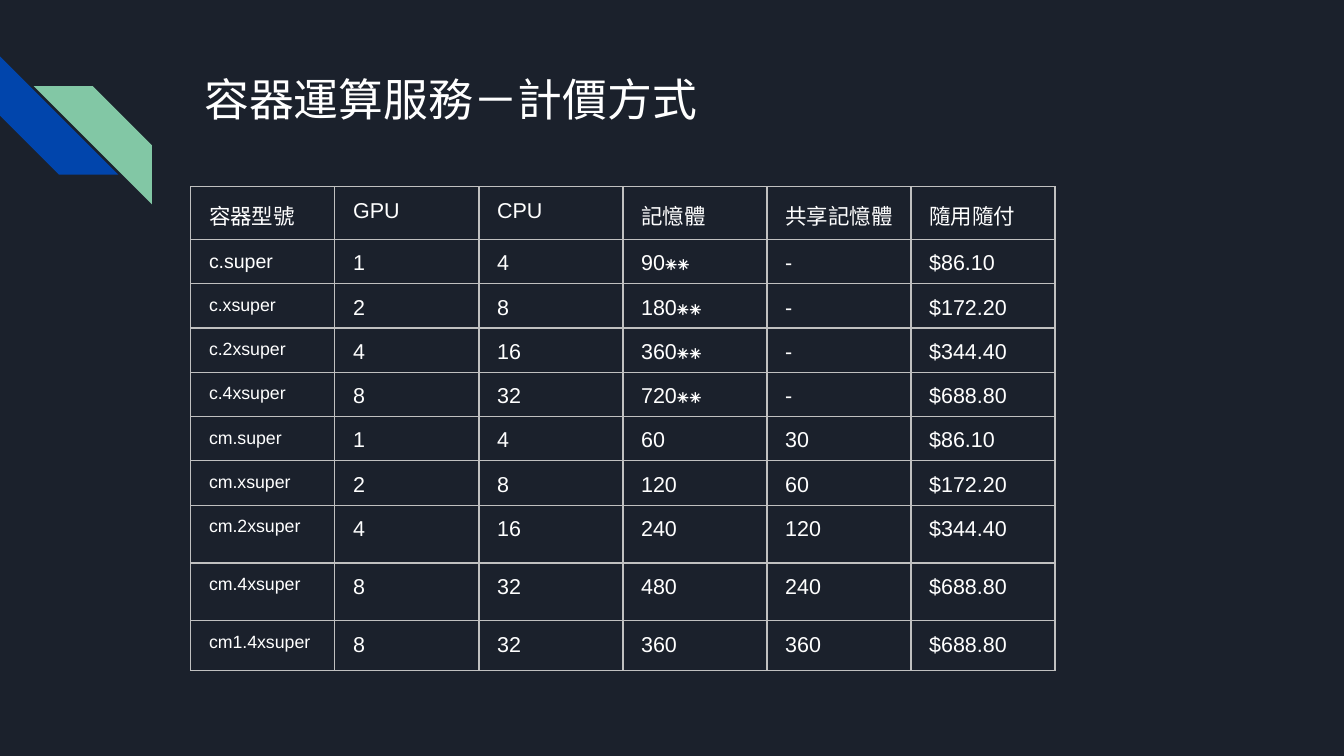
from dataclasses import dataclass

from lxml.etree import SubElement
from pptx import Presentation
from pptx.dml.color import RGBColor as RGB
from pptx.enum.shapes import MSO_SHAPE as SHAPE
from pptx.enum.text import MSO_ANCHOR as ANCHOR, PP_ALIGN as ALIGN
from pptx.oxml.ns import qn
from pptx.util import Inches, Pt


@dataclass(frozen=True)
class Theme:
    background: str = "1B212C"
    text: str = "FFFFFF"
    border: str = "C0C0C0"
    blue: str = "0145AC"
    green: str = "82C7A5"
    title_font: str = "Montserrat"
    body_font: str = "Arial"
    title_size: float = 24
    body_size: float = 11.5
    first_model_size: float = 10.5
    model_size: float = 9.5
    border_width: float = 0.75


class SlideBuilder:
    def __init__(self, prs, theme):
        self.theme = theme
        self.slide = prs.slides.add_slide(prs.slide_layouts[5])
        fill = self.slide.background.fill
        fill.solid()
        fill.fore_color.rgb = RGB.from_string(theme.background)

    def run(self, p, text, font, size):
        r = p.add_run()
        r.text = text
        r.font.name = font
        r.font.size = Pt(size)
        r.font.bold = False
        r.font.color.rgb = RGB.from_string(self.theme.text)

    def title(self, text, left, top, width, height):
        sp = self.slide.shapes.title
        sp.left, sp.top = Inches(left), Inches(top)
        sp.width, sp.height = Inches(width), Inches(height)
        tf = sp.text_frame
        tf.word_wrap = True
        tf.vertical_anchor = ANCHOR.TOP
        tf.margin_left = tf.margin_right = Inches(0.1)
        tf.margin_top = tf.margin_bottom = Inches(0.1)
        p = tf.paragraphs[0]
        p.alignment = ALIGN.LEFT
        self.run(p, text, self.theme.title_font, self.theme.title_size)

    def stripe(self, left, top, size, color, rotation=0, flipped=False):
        sp = self.slide.shapes.add_shape(
            SHAPE.DIAGONAL_STRIPE, Inches(left), Inches(top), Inches(size), Inches(size))
        sp.adjustments[0] = 0.5
        sp.rotation = rotation
        if flipped:
            sp.element.spPr.get_or_add_xfrm().set("flipH", "1")
        sp.shadow.inherit = False
        sp.fill.solid()
        sp.fill.fore_color.rgb = RGB.from_string(color)
        sp.line.fill.background()

    def borders(self, cell):
        """Draw all four sides; must come before the cell's fill is set."""
        tc_pr = cell._tc.get_or_add_tcPr()
        for side in ("a:lnL", "a:lnR", "a:lnT", "a:lnB"):
            ln = SubElement(tc_pr, qn(side), w=str(Pt(self.theme.border_width)))
            fill = SubElement(ln, qn("a:solidFill"))
            SubElement(fill, qn("a:srgbClr"), val=self.theme.border)

    def cell(self, cell, text, size):
        self.borders(cell)
        cell.fill.background()
        cell.margin_left = cell.margin_right = Inches(13 / 96)
        cell.margin_top = cell.margin_bottom = Inches(6 / 96)
        cell.vertical_anchor = ANCHOR.TOP
        p = cell.text_frame.paragraphs[0]
        p.line_spacing = 1.15
        p.space_after = Pt(12)
        self.run(p, text, self.theme.body_font, size)

    def text_size(self, row, col):
        if row == 0 or col > 0:
            return self.theme.body_size
        return self.theme.first_model_size if row == 1 else self.theme.model_size

    def table(self, rows, left, top, width, row_heights):
        cols = len(rows[0])
        table = self.slide.shapes.add_table(
            len(rows), cols, Inches(left), Inches(top),
            Inches(width), Inches(sum(row_heights))).table
        table.first_row = table.horz_banding = False
        for column in table.columns:
            column.width = Inches(width / cols)
        for i, (values, height) in enumerate(zip(rows, row_heights)):
            table.rows[i].height = Inches(height)
            for j, text in enumerate(values):
                self.cell(table.cell(i, j), text, self.text_size(i, j))


PRICES = [
    ("容器型號", "GPU", "CPU", "記憶體", "共享記憶體", "隨用隨付"),
    ("c.super", "1", "4", "90⁕⁕", "-", "$86.10"),
    ("c.xsuper", "2", "8", "180⁕⁕", "-", "$172.20"),
    ("c.2xsuper", "4", "16", "360⁕⁕", "-", "$344.40"),
    ("c.4xsuper", "8", "32", "720⁕⁕", "-", "$688.80"),
    ("cm.super", "1", "4", "60", "30", "$86.10"),
    ("cm.xsuper", "2", "8", "120", "60", "$172.20"),
    ("cm.2xsuper", "4", "16", "240", "120", "$344.40"),
    ("cm.4xsuper", "8", "32", "480", "240", "$688.80"),
    ("cm1.4xsuper", "8", "32", "360", "360", "$688.80"),
]
ROW_HEIGHTS = [0.37] + [0.3] * 6 + [0.43] * 2 + [0.37]


def main():
    prs = Presentation()
    prs.slide_width = Inches(10)
    prs.slide_height = prs.slide_width * 9 // 16
    theme = Theme()
    s = SlideBuilder(prs, theme)
    s.stripe(0, 0.42, 0.88, theme.blue, rotation=270)
    s.stripe(0.25, 0.64, 0.88, theme.green, flipped=True)
    s.title("容器運算服務－計價方式", 1.42, 0.43, 7.7, 1)
    s.table(PRICES, 1.42, 1.39, 6.43, ROW_HEIGHTS)
    prs.save("out.pptx")


if __name__ == "__main__":
    main()
